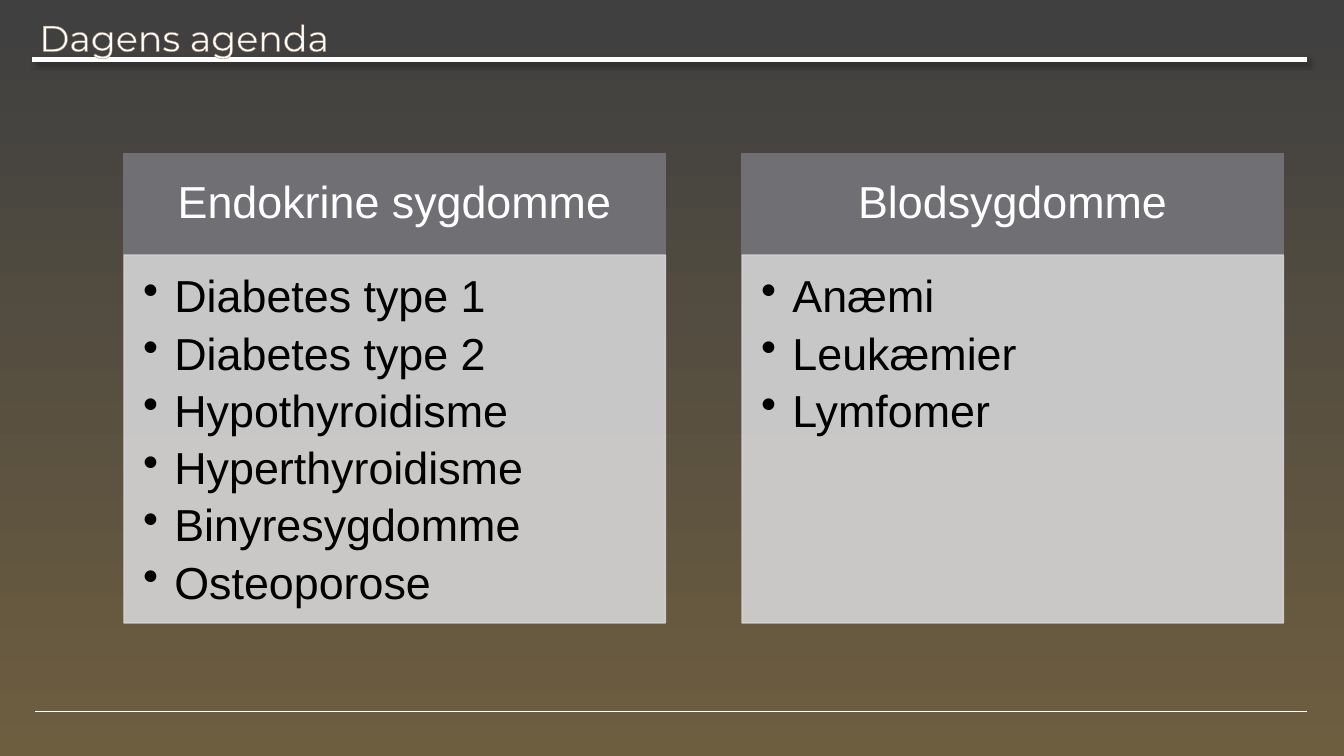
from lxml import etree
from pptx import Presentation
from pptx.dml.color import RGBColor
from pptx.enum.shapes import MSO_CONNECTOR, MSO_SHAPE
from pptx.enum.text import MSO_ANCHOR as ANCHOR, MSO_AUTO_SIZE as AUTO, PP_ALIGN as ALIGN
from pptx.oxml import parse_xml
from pptx.oxml.ns import nsdecls, qn
from pptx.util import Inches, Pt

WHITE = RGBColor(0xFF, 0xFF, 0xFF)
BLACK = RGBColor(0x00, 0x00, 0x00)
CHARCOAL = RGBColor(0x40, 0x40, 0x40)
BROWN = RGBColor(0x6E, 0x5E, 0x40)
TAN = RGBColor(0x9C, 0x82, 0x65)
SLATE = RGBColor(0x6F, 0x6F, 0x74)
PALE = RGBColor(0xD5, 0xD5, 0xD6)

AGENDA = [
    ("Endokrine sygdomme", ["Diabetes type 1", "Diabetes type 2", "Hypothyroidisme",
                            "Hyperthyroidisme", "Binyresygdomme", "Osteoporose"]),
    ("Blodsygdomme", ["Anæmi", "Leukæmier", "Lymfomer"]),
]


class AgendaSlide:
    title_font, body_font = "Montserrat", "Arial"
    title_size, body_size = Pt(26), Pt(32)

    def __init__(self, prs):
        self.s = prs.slides.add_slide(prs.slide_layouts[5])

    def background(self, top, bottom):
        fill = self.s.background.fill
        fill.gradient()
        fill.gradient_angle = 270
        for stop, color, position in zip(fill.gradient_stops, (top, bottom), (0.02, 1)):
            stop.color.rgb = color
            stop.position = position

    def rule(self, x1, x2, y, width, shadow=False):
        line = self.s.shapes.add_connector(
            MSO_CONNECTOR.STRAIGHT, Inches(x1), Inches(y), Inches(x2), Inches(y))
        line.line.color.rgb = WHITE
        line.line.width = Pt(width)
        effects = etree.SubElement(line.element.spPr, qn("a:effectLst"))
        if shadow:
            effects.append(parse_xml(
                f'<a:outerShdw {nsdecls("a")} blurRad="{Pt(4)}" dist="{Pt(3)}" dir="2700000">'
                '<a:srgbClr val="000000"><a:alpha val="40000"/></a:srgbClr></a:outerShdw>'))

    def frame(self, sp, insets, anchor):
        tf = sp.text_frame
        tf.word_wrap = True
        tf.vertical_anchor = anchor
        tf.margin_left, tf.margin_top, tf.margin_right, tf.margin_bottom = map(Inches, insets)
        return tf

    def run(self, p, text, font, size, color):
        p.line_spacing = 0.9
        r = p.add_run()
        r.text = text
        r.font.name, r.font.size = font, size
        r.font.color.rgb = color
        return r

    def title(self, text, x, y, w, h):
        sp = self.s.shapes.title
        sp.left, sp.top, sp.width, sp.height = map(Inches, (x, y, w, h))
        sp.element.getparent().append(sp.element)  # in front of the rules
        tf = self.frame(sp, (0, 0, 0, 0), ANCHOR.BOTTOM)
        tf.auto_size = AUTO.SHAPE_TO_FIT_TEXT
        p = tf.paragraphs[0]
        p.alignment = ALIGN.LEFT
        r = self.run(p, text, self.title_font, self.title_size, WHITE)
        r.font.fill.solid()
        r.font.fill.fore_color.rgb = WHITE
        r.font._element.insert(0, parse_xml(
            f'<a:ln {nsdecls("a")} w="{Pt(0.8)}"><a:solidFill>'
            f'<a:srgbClr val="{TAN}"/></a:solidFill></a:ln>'))

    def box(self, x, y, w, h, color, opacity=100):
        sp = self.s.shapes.add_shape(MSO_SHAPE.RECTANGLE, *map(Inches, (x, y, w, h)))
        sp.shadow.inherit = False
        sp.fill.solid()
        sp.fill.fore_color.rgb = color
        sp.line.color.rgb = color
        sp.line.width = Pt(1)
        if opacity < 100:
            for clr in sp.element.spPr.iter(qn("a:srgbClr")):
                etree.SubElement(clr, qn("a:alpha")).set("val", str(opacity * 1000))
        return sp

    def heading(self, text, x, y, w, h):
        sp = self.box(x, y, w, h, SLATE)
        p = self.frame(sp, (0.25, 0.14, 0.25, 0.14), ANCHOR.MIDDLE).paragraphs[0]
        p.alignment = ALIGN.CENTER
        self.run(p, text, self.body_font, self.body_size, WHITE)

    def bullets(self, items, x, y, w, h):
        sp = self.box(x, y, w, h, PALE, opacity=90)
        tf = self.frame(sp, (0.19, 0.19, 0.25, 0.28), ANCHOR.TOP)
        for i, item in enumerate(items):
            p = tf.add_paragraph() if i else tf.paragraphs[0]
            pPr = p._p.get_or_add_pPr()
            pPr.set("marL", str(Inches(0.31)))
            pPr.set("indent", str(-Inches(0.31)))
            etree.SubElement(pPr, qn("a:buChar")).set("char", "•")
            p.alignment = ALIGN.LEFT
            p.space_after = Pt(6.3)
            self.run(p, item, self.body_font, self.body_size, BLACK)


def main():
    prs = Presentation()
    prs.slide_width, prs.slide_height = Inches(13.33), Inches(7.5)
    slide = AgendaSlide(prs)

    # Background, rules and title
    slide.background(CHARCOAL, BROWN)
    slide.rule(0.32, 12.96, 0.59, 3.5, shadow=True)
    slide.rule(0.35, 12.96, 7.06, 1)
    slide.title("Dagens agenda", 0.39, 0.2, 6.41, 0.39)

    # One column per disease group
    left, top, width, pitch = 1.23, 1.52, 5.37, 6.13
    head_h, list_h = 1.01, 3.65
    for i, (heading, diseases) in enumerate(AGENDA):
        x = left + i * pitch
        slide.heading(heading, x, top, width, head_h)
        slide.bullets(diseases, x, top + head_h, width, list_h)

    prs.save("out.pptx")


if __name__ == "__main__":
    main()
